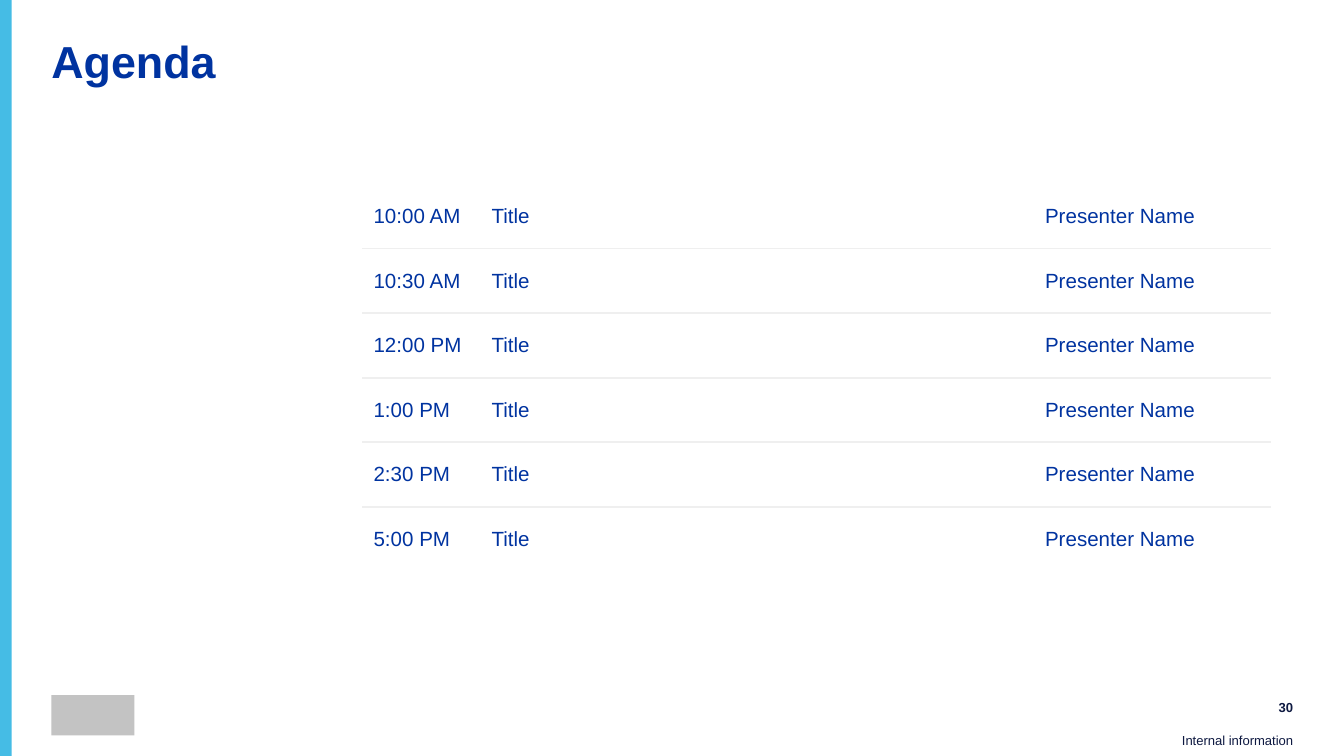
from dataclasses import dataclass

from pptx import Presentation
from pptx.dml.color import RGBColor
from pptx.enum.shapes import MSO_SHAPE
from pptx.enum.text import MSO_ANCHOR, MSO_AUTO_SIZE, PP_ALIGN
from pptx.oxml import parse_xml
from pptx.oxml.ns import nsdecls
from pptx.util import Cm, Pt


@dataclass(frozen=True)
class Theme:
    """Colours, font and type sizes."""
    face: str = "Arial"
    blue: str = "0033A0"
    navy: str = "0E1941"
    cyan: str = "45BCE5"
    grey: str = "C3C3C3"
    rule: str = "EFEFEF"
    head: int = 24
    body: int = 11
    note: int = 7


THEME = Theme()
TIMES = ["10:00 AM", "10:30 AM", "12:00 PM", "1:00 PM", "2:30 PM", "5:00 PM"]
ROWS = [(time, "Title", "Presenter Name") for time in TIMES]
SHARES = (0.13, 0.61, 0.26)


def style(frame, size, color, bold=False, align=PP_ALIGN.LEFT):
    """Format the first paragraph of a text frame."""
    para = frame.paragraphs[0]
    para.alignment = align
    font = para.font
    font.name, font.size, font.bold = THEME.face, Pt(size), bold
    font.color.rgb = RGBColor.from_string(color)
    return para


def inset(frame, anchor, foot=0):
    """Clear the margins of a text frame and set its anchor."""
    frame.margin_left = frame.margin_right = frame.margin_top = 0
    frame.margin_bottom = Cm(foot)
    frame.vertical_anchor = anchor
    frame.auto_size = MSO_AUTO_SIZE.NONE
    frame.word_wrap = True


def block(slide, box, color):
    """Draw a plain filled rectangle in the box."""
    shape = slide.shapes.add_shape(MSO_SHAPE.RECTANGLE, *map(Cm, box))
    shape.shadow.inherit = False
    shape.fill.solid()
    shape.fill.fore_color.rgb = RGBColor.from_string(color)
    shape.line.fill.background()


def title(slide, box, text):
    """Place the slide title in the box."""
    shape = slide.shapes.title
    shape.left, shape.top, shape.width, shape.height = map(Cm, box)
    frame = shape.text_frame
    frame.text = text
    inset(frame, MSO_ANCHOR.TOP)
    style(frame, THEME.head, THEME.blue, True).line_spacing = 0.9


def note(slide, box, text, anchor, bold=False, foot=0):
    """Place a small right-aligned note in the box."""
    frame = slide.shapes.add_textbox(*map(Cm, box)).text_frame
    frame.text = text
    inset(frame, anchor, foot)
    style(frame, THEME.note, THEME.navy, bold, PP_ALIGN.RIGHT)


def edge(cell, sides):
    """Rule the named sides of a table cell."""
    props = cell._tc.get_or_add_tcPr()
    for spot, side in enumerate(sides):
        props.insert(spot, parse_xml(
            f'<a:ln{side} {nsdecls("a")} w="{Pt(1)}"><a:solidFill>'
            f'<a:srgbClr val="{THEME.rule}"/></a:solidFill></a:ln{side}>'))


def agenda(slide, box, rows):
    """Fill the box with a table of times, titles and presenters."""
    left, top, width, height = box
    table = slide.shapes.add_table(
        len(rows), len(SHARES), *map(Cm, box)).table
    table.first_row = table.horz_banding = False
    for col, share in zip(table.columns, SHARES):
        col.width = Cm(width * share)
    last = len(rows) - 1
    for r, row in enumerate(rows):
        table.rows[r].height = Cm(height / len(rows))
        sides = ("T" if r else "") + ("B" if r < last else "")
        for c, text in enumerate(row):
            cell = table.cell(r, c)
            cell.text = text
            cell.vertical_anchor = MSO_ANCHOR.MIDDLE
            cell.margin_left = cell.margin_right = Cm(0.2)
            cell.margin_top = cell.margin_bottom = Cm(0.2)
            cell.fill.background()
            edge(cell, sides)
            style(cell.text_frame, THEME.body, THEME.blue)


def main():
    """Build the agenda slide and save it."""
    deck = Presentation()
    deck.slide_width, deck.slide_height = Cm(25.4), Cm(14.29)
    slide = deck.slides.add_slide(deck.slide_layouts[5])
    block(slide, (0, 0, 0.22, 14.29), THEME.cyan)
    block(slide, (0.97, 13.14, 1.57, 0.76), THEME.grey)
    title(slide, (0.97, 0.76, 23.5, 1.24), "Agenda")
    agenda(slide, (6.86, 3.48, 17.15, 7.32), ROWS)
    note(slide, (22.94, 13.14, 1.5, 0.46), "30", MSO_ANCHOR.MIDDLE, True)
    note(slide, (22.14, 13.87, 2.3, 0.41), "Internal information",
         MSO_ANCHOR.BOTTOM, foot=0.13)
    deck.save("out.pptx")


if __name__ == "__main__":
    main()
